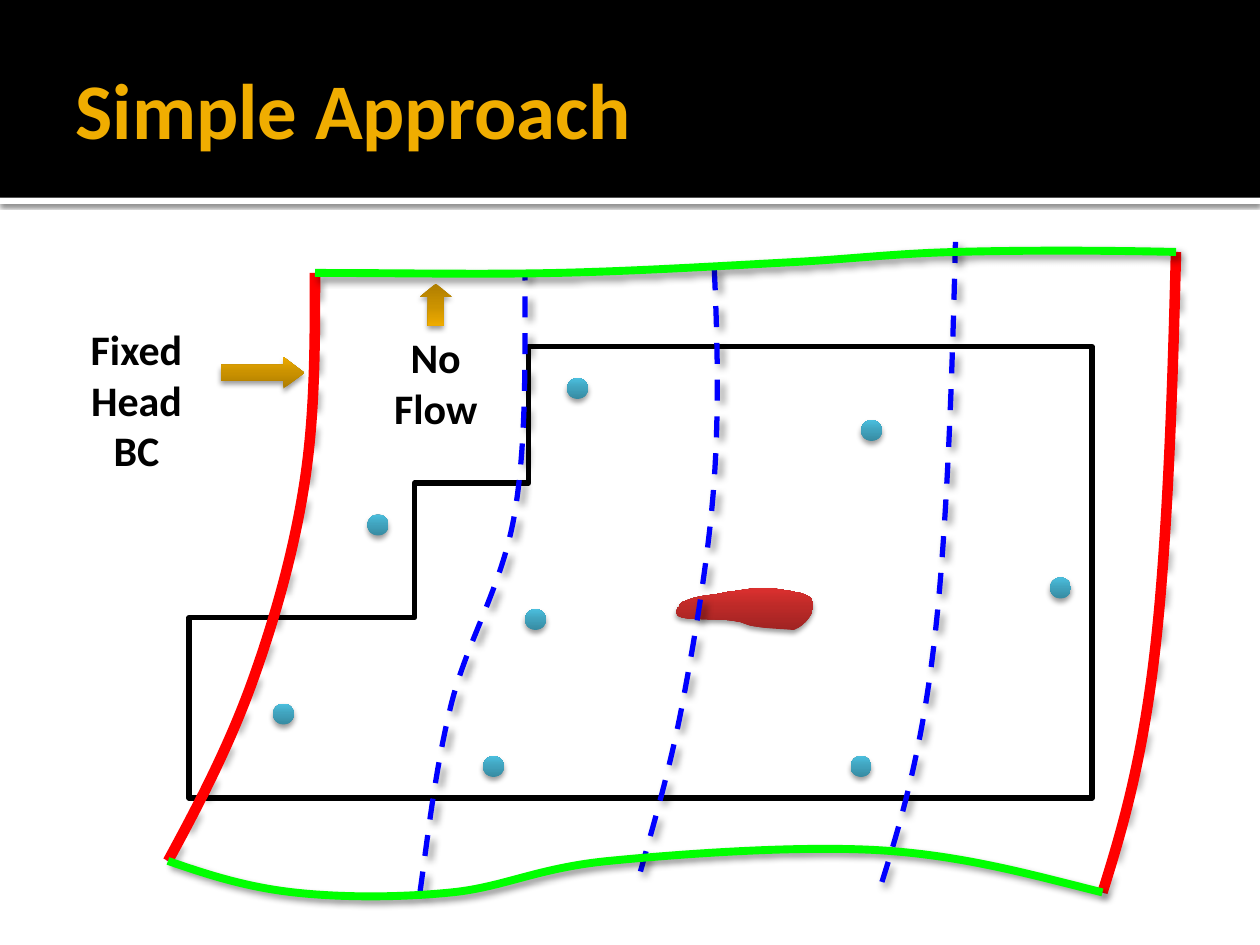
from copy import deepcopy
from dataclasses import dataclass
from typing import Optional

from lxml import etree
from pptx import Presentation
from pptx import util as u
from pptx.dml.color import RGBColor
from pptx.enum import dml, shapes, text
from pptx.oxml import ns

BLACK = RGBColor(0x00, 0x00, 0x00)
WHITE = RGBColor(0xFF, 0xFF, 0xFF)
AMBER = RGBColor(0xF0, 0xAD, 0x00)
BLUE = RGBColor(0x00, 0x00, 0xFF)
RED = RGBColor(0xFF, 0x00, 0x00)
GREEN = RGBColor(0x00, 0xFF, 0x00)
PLUME_REDS = (RGBColor(0xA0, 0x23, 0x22), RGBColor(0xBC, 0x2A, 0x28), RGBColor(0xDC, 0x30, 0x2F))
WELL_TEALS = (RGBColor(0x37, 0x8B, 0xA2), RGBColor(0x41, 0xA4, 0xBF), RGBColor(0x4B, 0xBF, 0xDE))
ARROW_GOLDS = (RGBColor(0xAE, 0x7D, 0x00), RGBColor(0xCC, 0x93, 0x00), RGBColor(0xEE, 0xAB, 0x00))
FONT = "Calibri"
WELL_SIZE = 12


@dataclass(frozen=True)
class Shadow:
    opacity: int
    blur: float
    distance: float
    angle: int


@dataclass(frozen=True)
class Curve:
    points: tuple
    color: RGBColor
    width: float
    shadow: Optional[Shadow] = None
    dash: Optional[dml.MSO_LINE] = None


@dataclass(frozen=True)
class Arrow:
    box: tuple
    kind: shapes.MSO_SHAPE
    head: float
    rotation: int = 0


@dataclass(frozen=True)
class Label:
    box: tuple
    words: str


BAR_SHADOW = Shadow(60, 2.5, 0.8, 90)
SOLID_SHADOW = Shadow(38, 3.1, 2, 90)
LINE_SHADOW = Shadow(40, 4, 3, 45)

SITE_OUTLINE = ((237, 276), (237, 353), (108, 353), (108, 456),
                (624, 456), (624, 198), (302, 198), (302, 276))
PLUME = ((387.4, 347), (394.6, 345), (384, 348.5), (390, 344), (391.7, 343.4), (396.7, 341.3),
         (398, 341.3), (403, 340), (409, 340), (414.7, 338.4), (422, 337.7), (429, 336),
         (436, 336), (439, 336), (443, 336), (445.7, 337), (450, 337), (453.6, 338.4),
         (458, 339), (462, 340.6), (460.8, 340), (463.7, 342), (468, 348.5), (459.4, 358),
         (453.6, 360), (445.7, 359.3), (439, 359.3), (432, 358), (427.7, 358), (424, 355),
         (420.5, 355), (415.4, 354), (411, 354), (406, 354), (401, 353.5), (394.6, 354),
         (389.5, 352.8), (385, 351.4), (386.6, 349), (387.4, 347))
WEST_HEAD = ((96, 492), (114, 459), (131, 426), (144, 390), (157, 354), (168, 315),
             (174, 276), (180, 237), (180, 197), (180, 156))
EAST_HEAD = ((630, 510), (642, 472), (653, 433), (660, 372), (667, 311), (670, 228), (672, 144))
INNER_HEADS = (
    ((240, 510), (245, 474), (249, 438), (258, 402), (267, 366), (287, 335),
     (294, 294), (301, 253), (300, 204), (300, 156)),
    ((366, 498), (374, 469), (383, 439), (390, 402), (397, 365), (405, 318),
     (408, 276), (411, 234), (410, 192), (408, 150)),
    ((504, 504), (516, 466), (527, 427), (534, 366), (541, 305), (544, 222), (546, 138)),
)
NORTH_FLOW = ((180, 156), (227, 156), (273, 157), (318, 156), (363, 155), (412, 152), (450, 150),
              (488, 148), (509, 145), (546, 144), (583, 143), (628, 143), (672, 144))
SOUTH_FLOW = ((96, 492), (119, 500), (141, 507), (168, 510), (195, 513), (228, 513), (258, 510),
              (288, 507), (307, 496), (348, 492), (389, 488), (457, 483), (504, 486),
              (551, 489), (590, 500), (630, 510))
WELLS = ((156, 402), (210, 294), (324, 216), (300, 348),
         (276, 432), (486, 432), (600, 330), (492, 240))

CURVES = (
    *(Curve(points, BLUE, 3, LINE_SHADOW, dml.MSO_LINE.DASH)
      for points in (WEST_HEAD, *INNER_HEADS, EAST_HEAD)),
    *(Curve(points, RED, 6) for points in (WEST_HEAD, EAST_HEAD)),
    *(Curve(points, GREEN, 4.5, LINE_SHADOW) for points in (NORTH_FLOW, SOUTH_FLOW)),
)
ARROWS = (Arrow((126, 204, 48, 18), shapes.MSO_SHAPE.RIGHT_ARROW, 0.67),
          Arrow((240, 162, 18, 24), shapes.MSO_SHAPE.DOWN_ARROW, 0.42, 180))
LABELS = (Label((36, 181.5, 84, 94.5), "Fixed Head BC"), Label((210, 186, 78, 65.5), "No Flow"))


def apply_format(target, values: dict) -> None:
    for name, value in values.items():
        setattr(target, name, value)


def points_to_lengths(values) -> list:
    return [u.Pt(value) for value in values]


def set_shadow(shape, shadow: Optional[Shadow]) -> None:
    shape.shadow.inherit = False
    if shadow is None:
        return
    effects = shape._element.spPr.find(ns.qn("a:effectLst"))
    outer = etree.SubElement(effects, ns.qn("a:outerShdw"), blurRad=str(u.Pt(shadow.blur)),
                             dist=str(u.Pt(shadow.distance)), dir=str(shadow.angle * 60000),
                             algn="tl", rotWithShape="0")
    color = etree.SubElement(outer, ns.qn("a:srgbClr"), val=str(BLACK))
    etree.SubElement(color, ns.qn("a:alpha"), val=str(shadow.opacity * 1000))


def set_gradient(shape, colors: tuple) -> None:
    shape.fill.gradient()
    shape.fill.gradient_angle = 90
    stops = shape._element.spPr.find(".//" + ns.qn("a:gsLst"))
    stops.insert(1, deepcopy(stops[0]))
    for stop, color, position in zip(shape.fill.gradient_stops, colors, (0, 0.55, 1)):
        stop.color.rgb = color
        stop.position = position
    shape.line.fill.background()


def add_bar(slide, box: tuple, color: RGBColor, shadow: Optional[Shadow] = None) -> None:
    bar = slide.shapes.add_shape(shapes.MSO_SHAPE.RECTANGLE, *points_to_lengths(box))
    bar.fill.solid()
    bar.fill.fore_color.rgb = color
    bar.line.fill.background()
    set_shadow(bar, shadow)


def add_outline(slide, points: tuple, closed: bool = False):
    start, *rest = [points_to_lengths(point) for point in points]
    builder = slide.shapes.build_freeform(*start)
    builder.add_line_segments(rest, close=closed)
    return builder.convert_to_shape()


def bend_segments(shape) -> None:
    segments = list(shape._element.iter(ns.qn("a:lnTo")))
    for first, second, third in zip(*[iter(segments)] * 3):
        bezier = etree.Element(ns.qn("a:cubicBezTo"))
        first.addprevious(bezier)
        for segment in (first, second, third):
            bezier.append(segment[0])
            segment.getparent().remove(segment)


def set_line(shape, color: RGBColor, width: float, dash=None) -> None:
    shape.fill.background()
    shape.line.color.rgb = color
    apply_format(shape.line, {"width": u.Pt(width), "dash_style": dash})


def add_curve(slide, curve: Curve) -> None:
    shape = add_outline(slide, curve.points)
    bend_segments(shape)
    set_line(shape, curve.color, curve.width, curve.dash)
    set_shadow(shape, curve.shadow)


def add_solid(slide, kind, box: tuple, colors: tuple):
    shape = slide.shapes.add_shape(kind, *points_to_lengths(box))
    set_gradient(shape, colors)
    set_shadow(shape, SOLID_SHADOW)
    return shape


def add_arrow(slide, arrow: Arrow) -> None:
    shape = add_solid(slide, arrow.kind, arrow.box, ARROW_GOLDS)
    shape.adjustments[1] = arrow.head
    shape.rotation = arrow.rotation


def write_text(shape, words: str, size: float, color: RGBColor, alignment) -> None:
    shape.text_frame.text = words
    paragraph = shape.text_frame.paragraphs[0]
    paragraph.alignment = alignment
    apply_format(paragraph.font, {"name": FONT, "size": u.Pt(size), "bold": True})
    paragraph.font.color.rgb = color


def add_label(slide, label: Label) -> None:
    shape = slide.shapes.add_textbox(*points_to_lengths(label.box))
    shape.text_frame.word_wrap = True
    write_text(shape, label.words, 24, BLACK, text.PP_ALIGN.CENTER)


def place_title(slide) -> None:
    title = slide.shapes.title
    apply_format(title, {"left": u.Pt(36), "top": u.Pt(12), "width": u.Pt(648), "height": u.Pt(99)})
    apply_format(title.text_frame, {
        "vertical_anchor": text.MSO_ANCHOR.MIDDLE, "auto_size": text.MSO_AUTO_SIZE.NONE,
        "margin_left": u.Pt(7.2), "margin_right": u.Pt(3.6),
        "margin_top": u.Pt(3.6), "margin_bottom": u.Pt(3.6)})
    write_text(title, "Simple Approach", 45, AMBER, text.PP_ALIGN.LEFT)
    slide.shapes._spTree.append(title._element)


def main() -> None:
    presentation = Presentation()
    apply_format(presentation, {"slide_width": u.Pt(720), "slide_height": u.Pt(540)})
    slide = presentation.slides.add_slide(presentation.slide_layouts[5])
    add_bar(slide, (0, 113, 720, 3.6), WHITE, BAR_SHADOW)
    add_bar(slide, (0, 0, 720, 113), BLACK)
    place_title(slide)

    site = add_outline(slide, SITE_OUTLINE, closed=True)
    set_line(site, BLACK, 3)
    set_shadow(site, None)
    plume = add_outline(slide, PLUME, closed=True)
    bend_segments(plume)
    set_gradient(plume, PLUME_REDS)
    set_shadow(plume, SOLID_SHADOW)

    for well in WELLS:
        add_solid(slide, shapes.MSO_SHAPE.OVAL, (*well, WELL_SIZE, WELL_SIZE), WELL_TEALS)
    for curve in CURVES:
        add_curve(slide, curve)
    for arrow in ARROWS:
        add_arrow(slide, arrow)
    for label in LABELS:
        add_label(slide, label)
    presentation.save("out.pptx")


if __name__ == "__main__":
    main()
